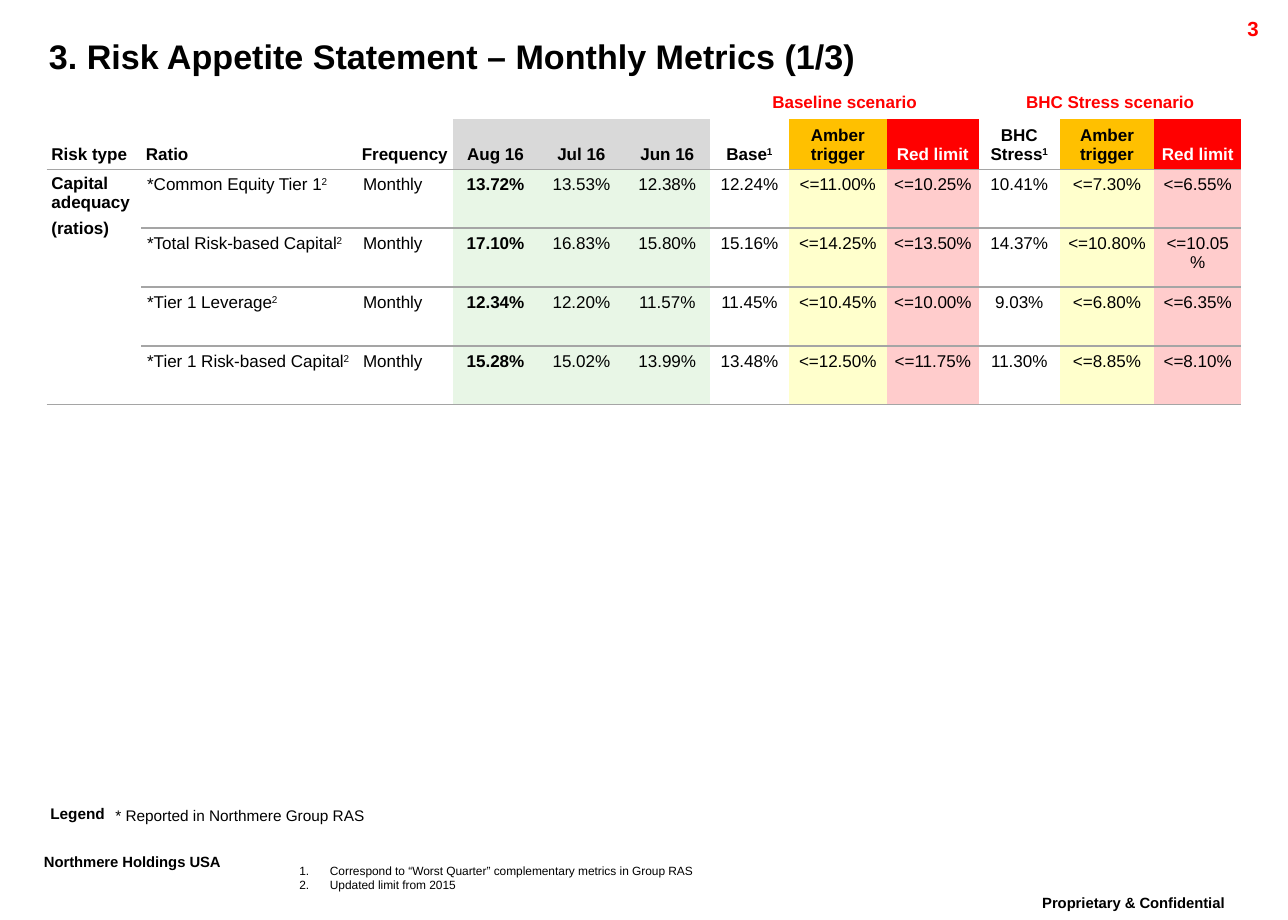
from pptx import Presentation
from pptx.dml.color import RGBColor
from pptx.enum.text import MSO_ANCHOR, PP_ALIGN
from pptx.oxml import parse_xml
from pptx.oxml.ns import nsdecls, qn
from pptx.util import Inches, Pt

LEFT, MID, RIGHT = PP_ALIGN.LEFT, PP_ALIGN.CENTER, PP_ALIGN.RIGHT
TOP, BASE = MSO_ANCHOR.TOP, MSO_ANCHOR.BOTTOM
PLAIN_STYLE = "{2D5ABB26-0587-4C30-8999-92F81FD0307C}"

THEME = {
    "font": "Arial",
    "black": "000000", "white": "FFFFFF", "red": "FF0000",
    "amber": "FFC000", "gray": "D9D9D9", "rule": "A5A5A5",
    "green": "E8F6E6", "cream": "FFFFCC", "pink": "FFCCCC",
    "title": 20, "foot": 15, "page": 12, "cell": 10, "legend": 9, "note": 7,
}

# A caret marks the start of a superscript.
GROUPS = {6: "Baseline scenario", 9: "BHC Stress scenario"}
# Heading, width, head fill, body fill
COLS = [
    ("Risk type", 0.77, None, None),
    ("Ratio", 1.76, None, None),
    ("Frequency", 0.78, None, None),
    ("Aug 16", 0.7, "gray", "green"),
    ("Jul 16", 0.7, "gray", "green"),
    ("Jun 16", 0.7, "gray", "green"),
    ("Base^1", 0.64, None, None),
    ("Amber trigger", 0.8, "amber", "cream"),
    ("Red limit", 0.75, "red", "pink"),
    ("BHC Stress^1", 0.66, None, None),
    ("Amber trigger", 0.77, "amber", "cream"),
    ("Red limit", 0.71, "red", "pink"),
]
RISK = ["Capital adequacy", "(ratios)"]
RATIOS = [
    ("*Common Equity Tier 1^2", "Monthly", "13.72%", "13.53%", "12.38%", "12.24%",
     "<=11.00%", "<=10.25%", "10.41%", "<=7.30%", "<=6.55%"),
    ("*Total Risk-based Capital^2", "Monthly", "17.10%", "16.83%", "15.80%", "15.16%",
     "<=14.25%", "<=13.50%", "14.37%", "<=10.80%", "<=10.05%"),
    ("*Tier 1 Leverage^2", "Monthly", "12.34%", "12.20%", "11.57%", "11.45%",
     "<=10.45%", "<=10.00%", "9.03%", "<=6.80%", "<=6.35%"),
    ("*Tier 1 Risk-based Capital^2", "Monthly", "15.28%", "15.02%", "13.99%", "13.48%",
     "<=12.50%", "<=11.75%", "11.30%", "<=8.85%", "<=8.10%"),
]
ROWS = [0.25, 0.41] + [0.48] * len(RATIOS)
NOTES = ["Correspond to “Worst Quarter” complementary metrics in Group RAS",
         "Updated limit from 2015"]
# Text, box, size, colour, bold, align, inset, raised
LABELS = [
    ("Proprietary & Confidential", (8.15, 7.25, 2.18, 0.35), "foot", "black", True, MID, True, True),
    ("Northmere Holdings USA", (0.26, 6.91, 1.91, 0.35), "foot", "black", True, LEFT, True, True),
    ("3", (9.36, 0.11, 1, 0.24), "page", "red", True, RIGHT, True, False),
    ("* Reported in Northmere Group RAS", (0.94, 6.59, 2.03, 0.13), "legend", "black", False, MID, False, False),
    ("Legend", (0.41, 6.58, 0.65, 0.13), "legend", "black", True, LEFT, False, False),
    ("3. Risk Appetite Statement – Monthly Metrics (1/3)", (0.3, 0.29, 9.82, 0.39),
     "title", "black", True, LEFT, True, False),
]


def tint(name):
    """Look up a theme colour."""
    return RGBColor.from_string(THEME[name])


def pad(part, x, y):
    """Set the side and top/bottom margins of a frame or cell."""
    part.margin_left = part.margin_right = Inches(x)
    part.margin_top = part.margin_bottom = Inches(y)


def lift(run):
    """Raise a run to superscript."""
    run._r.get_or_add_rPr().set("baseline", "30000")


def write(para, text, size, color="black", bold=False, align=LEFT):
    """Fill a paragraph, raising what follows a caret."""
    para.alignment = align
    font = para.font
    font.name, font.size, font.bold = THEME["font"], Pt(THEME[size]), bold
    font.color.rgb = tint(color)
    for i, part in enumerate(text.split("^")):
        run = para.add_run()
        run.text = part
        if i:
            lift(run)


def box(slide, area, inset):
    """Add a wrapping text box and return its frame."""
    frame = slide.shapes.add_textbox(*map(Inches, area)).text_frame
    frame.word_wrap = True
    pad(frame, 0.1 if inset else 0, 0.05 if inset else 0)
    return frame


def label(slide, text, area, size, color, bold, align, inset, raised):
    """Add a one-line text box."""
    para = box(slide, area, inset).paragraphs[0]
    write(para, text, size, color, bold, align)
    para.line_spacing = 0.86
    if raised:
        lift(para.runs[0])


def notes(slide):
    """Add the numbered footnotes."""
    frame = box(slide, (2.44, 7.04, 5.47, 0.36), False)
    for i, text in enumerate(NOTES):
        para = frame.add_paragraph() if i else frame.paragraphs[0]
        write(para, text, "note")
        props = para._p.get_or_add_pPr()
        props.set("marL", str(Inches(0.25)))
        props.set("indent", str(-Inches(0.25)))
        props.insert(0, parse_xml(f'<a:buAutoNum {nsdecls("a")} type="arabicPeriod"/>'))


def rule(cell, *sides):
    """Draw gray rules on the given sides (T before B)."""
    props = cell._tc.get_or_add_tcPr()
    for i, side in enumerate(sides):
        props.insert(i, parse_xml(
            f'<a:ln{side} {nsdecls("a")} w="{Pt(1)}"><a:solidFill>'
            f'<a:srgbClr val="{THEME["rule"]}"/></a:solidFill></a:ln{side}>'))


def paint(cell, name):
    """Fill a cell, or leave it clear."""
    if name:
        cell.fill.solid()
        cell.fill.fore_color.rgb = tint(name)
    else:
        cell.fill.background()


def head(cell, lines, color="black", align=MID, anchor=BASE):
    """Write bold, spaced heading lines in a cell."""
    pad(cell, 0.04, 0.04)
    cell.vertical_anchor = anchor
    for i, text in enumerate(lines):
        para = cell.text_frame.add_paragraph() if i else cell.text_frame.paragraphs[0]
        write(para, text, "cell", color, True, align)
        para.space_before = para.space_after = Pt(2)


def grid(slide):
    """Build the metrics table."""
    area = (0.38, 0.72, sum(col[1] for col in COLS), sum(ROWS))
    table = slide.shapes.add_table(len(ROWS), len(COLS), *map(Inches, area)).table
    table.first_row = table.horz_banding = False
    table._tbl.tblPr.find(qn("a:tableStyleId")).text = PLAIN_STYLE
    for row, high in zip(table.rows, ROWS):
        row.height = Inches(high)
    for cell in table.iter_cells():
        pad(cell, 0.04, 0.04)
        end = cell.text_frame.paragraphs[0]._p.get_or_add_endParaRPr()
        end.set("sz", str(THEME["cell"] * 100))

    last = len(ROWS) - 1
    for c, (name, wide, top, fill) in enumerate(COLS):
        table.columns[c].width = Inches(wide)
        paint(table.cell(0, c), "white" if c > 2 else None)
        cell = table.cell(1, c)
        head(cell, [name], "white" if top == "red" else "black", MID if c > 1 else LEFT)
        paint(cell, top)
        rule(cell, "B")
        for r in range(2, last + 1):
            cell = table.cell(r, c)
            paint(cell, fill)
            if c:
                pad(cell, 0.05, 0.05)
                write(cell.text_frame.paragraphs[0], RATIOS[r - 2][c - 1], "cell",
                      bold=c == 3, align=MID if c > 2 else LEFT)
                rule(cell, "T", "B")

    for c, text in GROUPS.items():
        table.cell(0, c).merge(table.cell(0, c + 2))
        head(table.cell(0, c), [text], "red", anchor=TOP)
    risk, foot = table.cell(2, 0), table.cell(last, 0)
    risk.merge(foot)
    head(risk, RISK, align=LEFT, anchor=TOP)
    rule(risk, "T", "B")
    rule(foot, "B")


def main():
    """Build and save the slide."""
    deck = Presentation()
    deck.slide_width, deck.slide_height = Inches(10.5), Inches(7.5)
    slide = deck.slides.add_slide(deck.slide_layouts[6])
    grid(slide)
    notes(slide)
    for item in LABELS:
        label(slide, *item)
    deck.save("out.pptx")


main()
